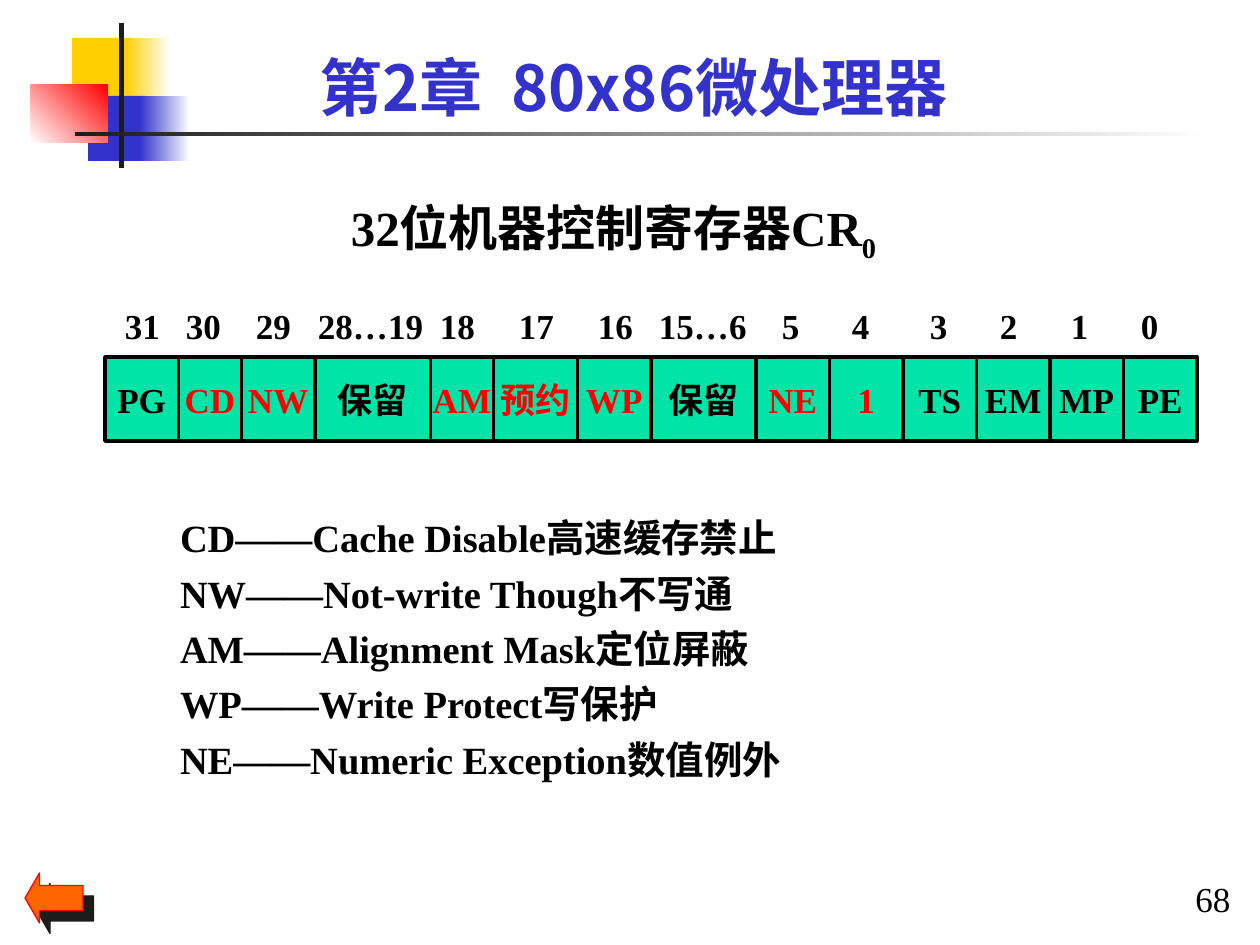
from itertools import accumulate

from lxml import etree
from pptx import Presentation
from pptx.dml.color import RGBColor
from pptx.enum.shapes import MSO_SHAPE
from pptx.enum.text import MSO_ANCHOR, MSO_AUTO_SIZE, PP_ALIGN
from pptx.oxml.ns import qn
from pptx.util import Pt

EMU_PER_PX = 914400 / 126
LATIN = "Times New Roman"
CJK = "Noto Sans CJK SC"
BLACK = RGBColor(0x00, 0x00, 0x00)
WHITE = RGBColor(0xFF, 0xFF, 0xFF)
CHARCOAL = RGBColor(0x1C, 0x1C, 0x1C)
YELLOW = RGBColor(0xFF, 0xCF, 0x01)
BLUE = RGBColor(0x33, 0x33, 0xCC)
RED = RGBColor(0xFF, 0x00, 0x00)
GREEN = RGBColor(0x00, 0xE4, 0xA8)
ORANGE = RGBColor(0xFF, 0x66, 0x00)
RECTANGLE = MSO_SHAPE.RECTANGLE
LEFT_ARROW = MSO_SHAPE.LEFT_ARROW
TOP, MIDDLE = MSO_ANCHOR.TOP, MSO_ANCHOR.MIDDLE
FIXED, GROW = MSO_AUTO_SIZE.NONE, MSO_AUTO_SIZE.SHAPE_TO_FIT_TEXT
LEFT, CENTER = PP_ALIGN.LEFT, PP_ALIGN.CENTER

DECORATION = [
    ((72, 38, 60, 65), (YELLOW,), 0),
    ((125, 38, 45, 65), (YELLOW, WHITE), 0),
    ((88, 96, 58, 65), (BLUE,), 0),
    ((140, 96, 50, 65), (BLUE, WHITE), 0),
    ((31, 85, 77, 58), (WHITE, RED), 45),
    ((119, 23, 5, 145), (CHARCOAL,), 0),
    ((75, 132, 1134, 4), (CHARCOAL, WHITE), 0),
]
REGISTER_LEFT = 105
REGISTER_FIELDS = [
    ("PG", 7, BLACK), ("CD", 6, RED), ("NW", 7, RED), ("保留", 11, BLACK),
    ("AM", 6, RED), ("预约", 8, RED), ("WP", 7, RED), ("保留", 10, BLACK),
    ("NE", 7, RED), ("1", 7, RED), ("TS", 7, BLACK), ("EM", 7, BLACK),
    ("MP", 7, BLACK), ("PE", 7, BLACK),
]
BIT_LABELS = ["31", "30", "29", "28…19", "18", "17", "16", "15…6",
              "5", "4", "3", "2", "1", "0"]
BIT_TABS = [61, 131, 193, 315, 394, 473, 534, 657, 727, 805, 875, 946, 1016]
DEFINITIONS = [
    "CD——Cache Disable高速缓存禁止",
    "NW——Not-write Though不写通",
    "AM——Alignment Mask定位屏蔽",
    "WP——Write Protect写保护",
    "NE——Numeric Exception数值例外",
]


def px(length):
    return round(length * EMU_PER_PX)


def write_run(paragraph, text, size=20, font=LATIN, color=BLACK, bold=True,
              baseline=None, spacing=None):
    run = paragraph.add_run()
    run.text = text
    run.font.size = Pt(size)
    run.font.name = font
    run.font.bold = bold
    run.font.color.rgb = color
    properties = run.font._element
    etree.SubElement(properties, qn("a:ea"), typeface=CJK)
    if baseline:
        properties.set("baseline", str(baseline * 1000))
    if spacing:
        properties.set("spc", str(spacing * 100))


class SlideBuilder:
    """Draws styled elements on the current slide, with lengths in px."""

    def __init__(self, slide):
        self.slide = slide

    def shape(self, box, colors, kind=RECTANGLE, angle=0, line=None, width=2):
        shape = self.slide.shapes.add_shape(kind, *map(px, box))
        shape.shadow.inherit = False
        if len(colors) == 1:
            shape.fill.solid()
            shape.fill.fore_color.rgb = colors[0]
        else:
            shape.fill.gradient()
            shape.fill.gradient_angle = angle
            for stop, color in zip(shape.fill.gradient_stops, colors):
                stop.color.rgb = color
        if line is None:
            shape.line.fill.background()
        else:
            shape.line.color.rgb = line
            shape.line.width = Pt(width)
        return shape

    def frame(self, shape, anchor=TOP, fit=FIXED):
        frame = shape.text_frame
        frame.margin_left = frame.margin_right = 0
        frame.margin_top = frame.margin_bottom = 0
        frame.word_wrap = True
        frame.auto_size = fit
        frame.vertical_anchor = anchor
        return frame

    def paragraph(self, frame, runs, align=LEFT, line_spacing=None, **style):
        first = frame.paragraphs[0]
        paragraph = frame.add_paragraph() if first.runs else first
        paragraph.alignment = align
        paragraph.line_spacing = line_spacing
        for text, extra in runs:
            write_run(paragraph, text, **{**style, **extra})
        return paragraph

    def title(self, box, runs, **style):
        title = self.slide.shapes.title
        title.left, title.top, title.width, title.height = map(px, box)
        self.paragraph(self.frame(title, fit=GROW), runs, CENTER, **style)

    def text(self, box, paragraphs, anchor=TOP, fit=GROW, **style):
        textbox = self.slide.shapes.add_textbox(*map(px, box))
        frame = self.frame(textbox, anchor, fit)
        for runs in paragraphs:
            self.paragraph(frame, runs, **style)
        return frame

    def cell(self, box, text, color):
        cell = self.shape(box, (GREEN,), line=BLACK)
        self.paragraph(self.frame(cell, MIDDLE), [(text, {})], CENTER, color=color)

    def tabbed_text(self, box, labels, stops):
        frame = self.text(box, [[("\t".join(labels), {})]], MIDDLE, FIXED)
        properties = frame.paragraphs[0]._p.get_or_add_pPr()
        tabs = etree.SubElement(properties, qn("a:tabLst"))
        for stop in stops:
            etree.SubElement(tabs, qn("a:tab"), pos=str(px(stop)), algn="l")

    def shadowed_arrow(self, box):
        arrow = self.shape(box, (ORANGE,), LEFT_ARROW, line=RED, width=0.75)
        arrow.adjustments[0] = 0.5
        arrow.adjustments[1] = 0.29
        effects = arrow._element.spPr.find(qn("a:effectLst"))
        shadow = etree.SubElement(effects, qn("a:outerShdw"), dist=str(Pt(8.5)),
                                  dir=str(45 * 60000), algn="ctr", rotWithShape="0")
        etree.SubElement(shadow, qn("a:srgbClr"), val=str(CHARCOAL))


def main():
    presentation = Presentation()
    presentation.slide_width, presentation.slide_height = px(1260), px(945)
    slide = presentation.slides.add_slide(presentation.slide_layouts[5])
    builder = SlideBuilder(slide)

    for box, colors, angle in DECORATION:
        builder.shape(box, colors, angle=angle)
    builder.text((1188, 877, 50, 43), [[("68", {})]], MIDDLE, FIXED,
                 align=CENTER, bold=False)
    builder.title((181, 48, 905, 76),
                  [("第2章", {}), (" ", {"spacing": 8}), ("80x86微处理器", {})],
                  size=36, font=CJK, color=BLUE)

    widths = [units * 21 / 2 for _, units, _ in REGISTER_FIELDS]
    lefts = accumulate(widths, initial=REGISTER_LEFT)
    for left, width, (text, _, color) in zip(lefts, widths, REGISTER_FIELDS):
        builder.cell((left, 357, width, 84), text, color)
    builder.tabbed_text((125, 294, 1061, 63), BIT_LABELS, BIT_TABS)

    builder.text((180, 505, 876, 277), [[(line, {})] for line in DEFINITIONS],
                 size=22, line_spacing=1.2)
    builder.text((174, 184, 879, 81),
                 [[("32位机器控制寄存器CR", {}), ("0", {"baseline": -25})]],
                 size=28, line_spacing=1.2, align=CENTER)
    builder.shadowed_arrow((25, 873, 58, 50))
    presentation.save("out.pptx")


if __name__ == "__main__":
    main()
